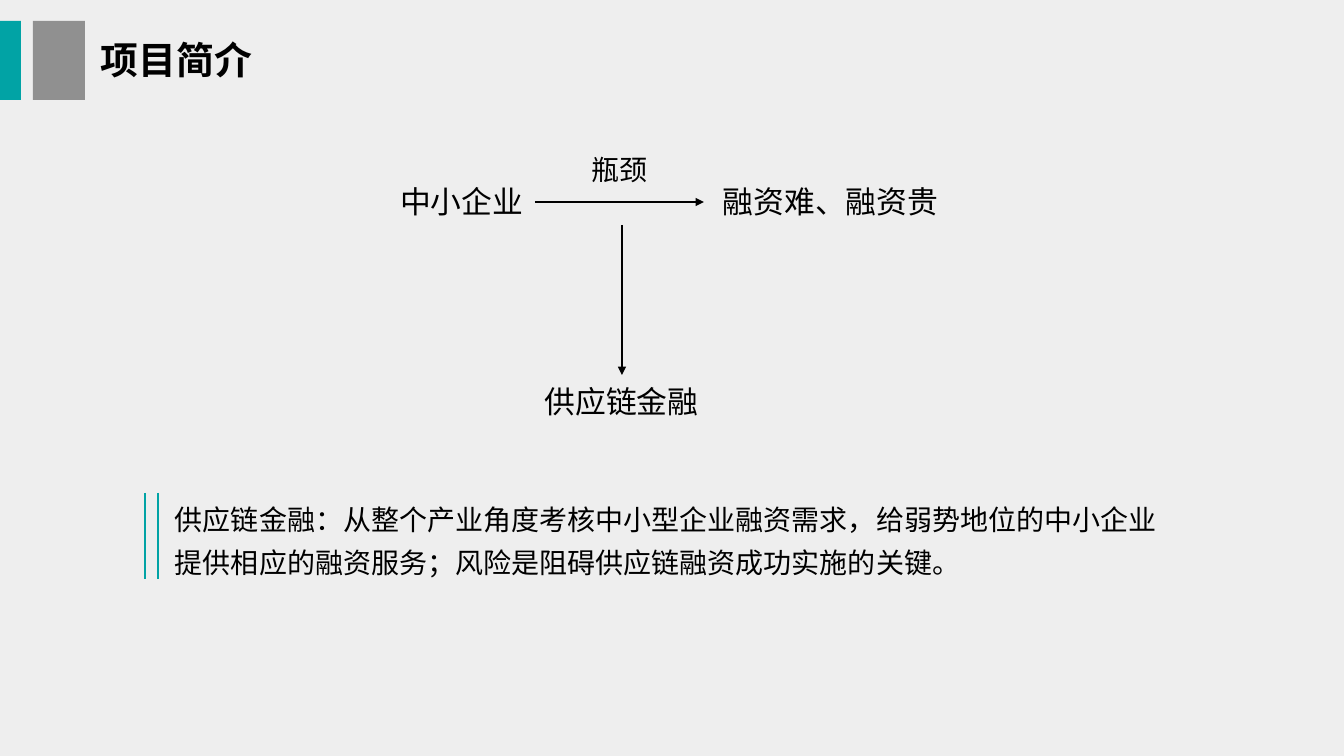
from lxml import etree
from pptx import Presentation
from pptx.dml.color import RGBColor
from pptx.enum.shapes import MSO_CONNECTOR, MSO_SHAPE
from pptx.enum.text import MSO_AUTO_SIZE, PP_ALIGN
from pptx.oxml.ns import qn
from pptx.util import Emu, Pt

STRAIGHT = MSO_CONNECTOR.STRAIGHT
RECTANGLE = MSO_SHAPE.RECTANGLE
GROW = MSO_AUTO_SIZE.SHAPE_TO_FIT_TEXT
LEFT = PP_ALIGN.LEFT
CENTER = PP_ALIGN.CENTER
EMU_PER_PX = 914400 / 100.8


def px(length):
    return Emu(round(length * EMU_PER_PX))


def color(value):
    return RGBColor.from_string(value)


class SlideBuilder:
    font = "Noto Sans CJK SC"
    ink = "000000"
    teal = "01A3A5"
    gray = "909090"
    background = "EEEEEE"
    line_width = 1.75

    def __init__(self, page):
        self.page = page
        fill = page.background.fill
        fill.solid()
        fill.fore_color.rgb = color(self.background)

    def text(self, words, left, top, width, height, size,
             align=CENTER, bold=False, spacing=None):
        box = self.page.shapes.add_textbox(px(left), px(top), px(width), px(height))
        frame = box.text_frame
        frame.word_wrap = True
        frame.auto_size = GROW
        frame.text = words
        para = frame.paragraphs[0]
        para.alignment = align
        para.line_spacing = spacing
        span = para.runs[0]
        span.font.size = Pt(size)
        span.font.bold = bold
        span.font.color.rgb = color(self.ink)
        span.font.name = self.font
        properties = span.font._element
        etree.SubElement(properties, qn("a:ea"), typeface=self.font)

    def line(self, start, end, stroke, arrow=False):
        connector = self.page.shapes.add_connector(
            STRAIGHT, *map(px, start), *map(px, end))
        connector.line.color.rgb = color(stroke)
        connector.line.width = Pt(self.line_width)
        if arrow:
            outline = connector.line._get_or_add_ln()
            etree.SubElement(outline, qn("a:tailEnd"), type="triangle")
        etree.SubElement(connector._element.spPr, qn("a:effectLst"))

    def block(self, left, top, width, height, fill):
        shape = self.page.shapes.add_shape(
            RECTANGLE, px(left), px(top), px(width), px(height))
        shape.shadow.inherit = False
        shape.fill.solid()
        shape.fill.fore_color.rgb = color(fill)
        shape.line.fill.background()


def main():
    deck = Presentation()
    deck.slide_width = px(1344)
    deck.slide_height = px(756)
    slide = SlideBuilder(deck.slides.add_slide(deck.slide_layouts[6]))

    slide.text("中小企业", 387, 178, 149, 47, 22)
    slide.line((535, 202), (704, 202), slide.ink, arrow=True)
    slide.text("融资难、融资贵", 704, 178, 253, 47, 22)
    slide.text("瓶颈", 576, 148, 88, 44, 20)
    slide.line((622, 225), (622, 375), slide.ink, arrow=True)
    slide.text("供应链金融", 530, 378, 183, 47, 22)

    slide.text("供应链金融：从整个产业角度考核中小型企业融资需求，给弱势地位的中小企业"
               "提供相应的融资服务；风险是阻碍供应链融资成功实施的关键。",
               165, 487, 1013, 99, 20, align=LEFT, spacing=1.3)
    for left in (145, 158):
        slide.line((left, 493), (left, 579), slide.teal)

    for left, width, fill in ((0, 21, slide.teal), (33, 52, slide.gray)):
        slide.block(left, 21, width, 79, fill)
    slide.text("项目简介", 91, 32, 220, 56, 27, align=LEFT, bold=True)

    deck.save("out.pptx")


if __name__ == "__main__":
    main()
